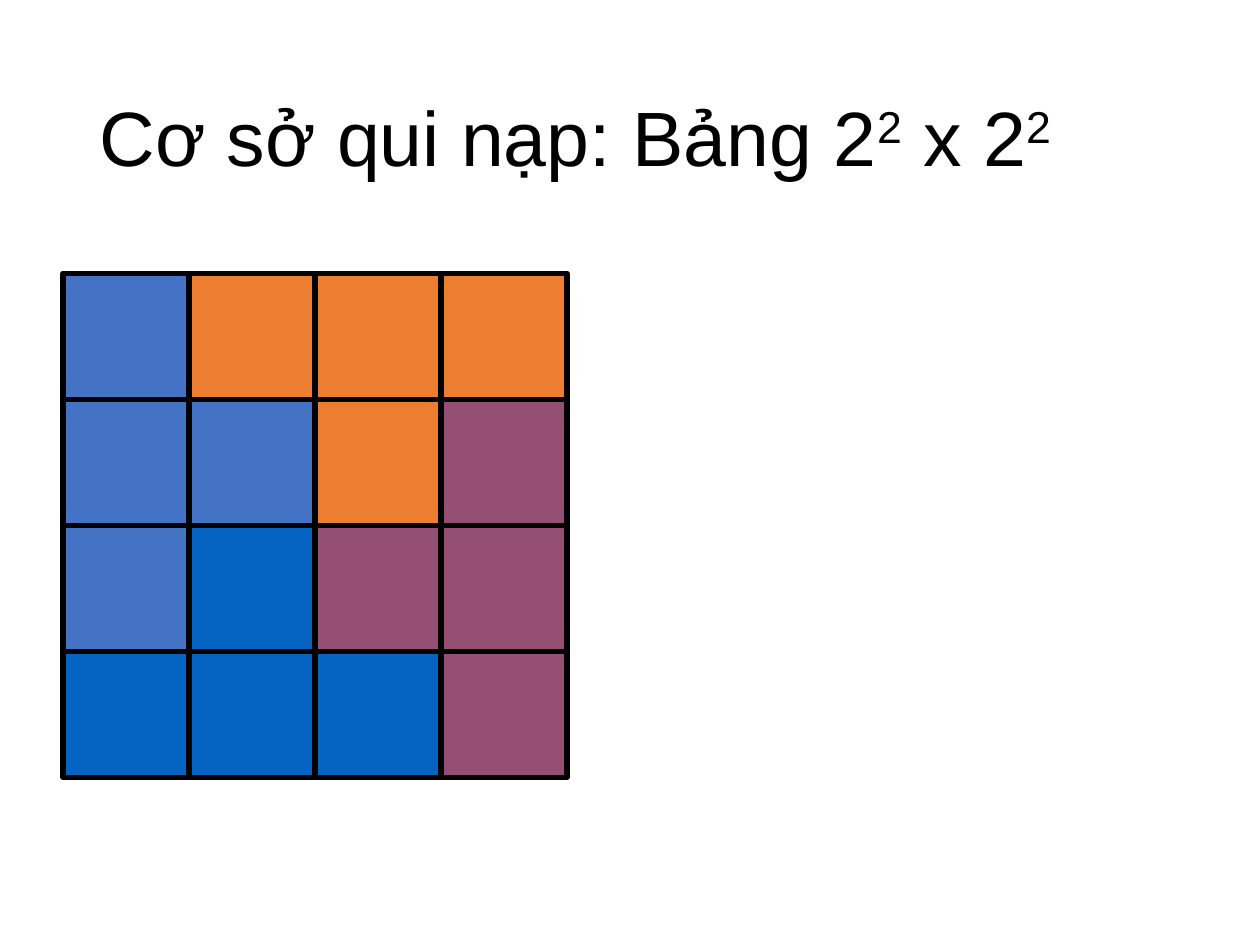
from pptx import Presentation
from pptx.dml.color import RGBColor
from pptx.enum.shapes import MSO_CONNECTOR, MSO_SHAPE
from pptx.enum.text import MSO_ANCHOR, MSO_AUTO_SIZE, PP_ALIGN
from pptx.oxml.ns import qn
from pptx.util import Inches, Pt
from lxml import etree

RECTANGLE = MSO_SHAPE.RECTANGLE
STRAIGHT = MSO_CONNECTOR.STRAIGHT
MIDDLE = MSO_ANCHOR.MIDDLE
NO_AUTOFIT = MSO_AUTO_SIZE.NONE
LEFT = PP_ALIGN.LEFT
TITLE_ONLY = 5
SITE_LEFT, SITE_RIGHT = 1, 3
CELL = 1
BOARD_LEFT, BOARD_TOP = 0.5, 2.17


def color(value):
    """Turn a hex string into a colour."""
    return RGBColor.from_string(value)


def add_text(paragraph, text, *, font, size, ink, superscript=False):
    """Append a formatted run to a paragraph."""
    run = paragraph.add_run()
    run.text = text
    run.font.name = font
    run.font.size = Pt(size)
    run.font.color.rgb = color(ink)
    if superscript:
        run._r.get_or_add_rPr().set("baseline", "30000")


class Slide:
    """Hold the style and the current slide."""

    font = "Arial"
    ink = "000000"
    line_width = 3

    def __init__(self, presentation):
        """Add a slide with only a title."""
        self.slide = presentation.slides.add_slide(presentation.slide_layouts[TITLE_ONLY])

    def title(self, parts, left, top, width, height):
        """Fill the title with pairs of text and superscript flag."""
        shape = self.slide.shapes.title
        shape.left, shape.top = Inches(left), Inches(top)
        shape.width, shape.height = Inches(width), Inches(height)
        frame = shape.text_frame
        frame.word_wrap = True
        frame.auto_size = NO_AUTOFIT
        frame.vertical_anchor = MIDDLE
        paragraph = frame.paragraphs[0]
        paragraph.alignment = LEFT
        paragraph.line_spacing = 0.9
        for text, superscript in parts:
            add_text(paragraph, text, font=self.font, size=44, ink=self.ink, superscript=superscript)

    def outline(self, line):
        """Apply the common line style."""
        line.color.rgb = color(self.ink)
        line.width = Pt(self.line_width)

    def block(self, group, center_x, center_y, width, height, fill, rotation):
        """Add a rectangle turned about its centre."""
        shape = group.shapes.add_shape(
            RECTANGLE, Inches(center_x - width / 2), Inches(center_y - height / 2),
            Inches(width), Inches(height))
        shape.rotation = rotation
        shape.shadow.inherit = False
        shape.fill.solid()
        shape.fill.fore_color.rgb = color(fill)
        self.outline(shape.line)
        return shape

    def divider(self, group, stem, center_x, center_y, vertical):
        """Join the middles of the long sides of a stem."""
        half_x, half_y = (0, CELL / 2) if vertical else (CELL / 2, 0)
        start = Inches(center_x - half_x), Inches(center_y - half_y)
        end = Inches(center_x + half_x), Inches(center_y + half_y)
        connector = group.shapes.add_connector(STRAIGHT, *start, *end)
        first, last = (SITE_RIGHT, SITE_LEFT) if stem.rotation == 270 else (SITE_LEFT, SITE_RIGHT)
        connector.begin_connect(stem, first)
        connector.end_connect(stem, last)
        connector.begin_x, connector.begin_y = start
        connector.end_x, connector.end_y = end
        self.outline(connector.line)
        etree.SubElement(connector._element.spPr, qn("a:effectLst"))

    def t_piece(self, column, row, direction, fill, rotation=0):
        """Add a T piece whose bar is centred on a cell and whose stem points one way."""
        group = self.slide.shapes.add_group_shape()
        center_x = BOARD_LEFT + (column + 0.5) * CELL
        center_y = BOARD_TOP + (row + 0.5) * CELL
        stem_x = center_x + direction[0] * CELL / 2
        stem_y = center_y + direction[1] * CELL / 2
        self.block(group, center_x, center_y, 3 * CELL, CELL, fill, rotation)
        stem = self.block(group, stem_x, stem_y, CELL, 2 * CELL, fill, rotation)
        self.divider(group, stem, stem_x, stem_y, direction[0] != 0)


def main():
    """Build the tiled board slide."""
    presentation = Presentation()
    presentation.slide_width, presentation.slide_height = Inches(10), Inches(7.5)
    slide = Slide(presentation)
    slide.title(
        [("Cơ sở qui nạp: Bảng 2", False), ("2", True), (" x 2", False), ("2", True)],
        0.69, 0.4, 8.62, 1.45)
    slide.t_piece(1, 3, (0, -1), "0563C1")
    slide.t_piece(2, 0, (0, 1), "ED7D31")
    slide.t_piece(0, 1, (1, 0), "4472C4", rotation=90)
    slide.t_piece(3, 2, (-1, 0), "954F72", rotation=270)
    presentation.save("out.pptx")


if __name__ == "__main__":
    main()
